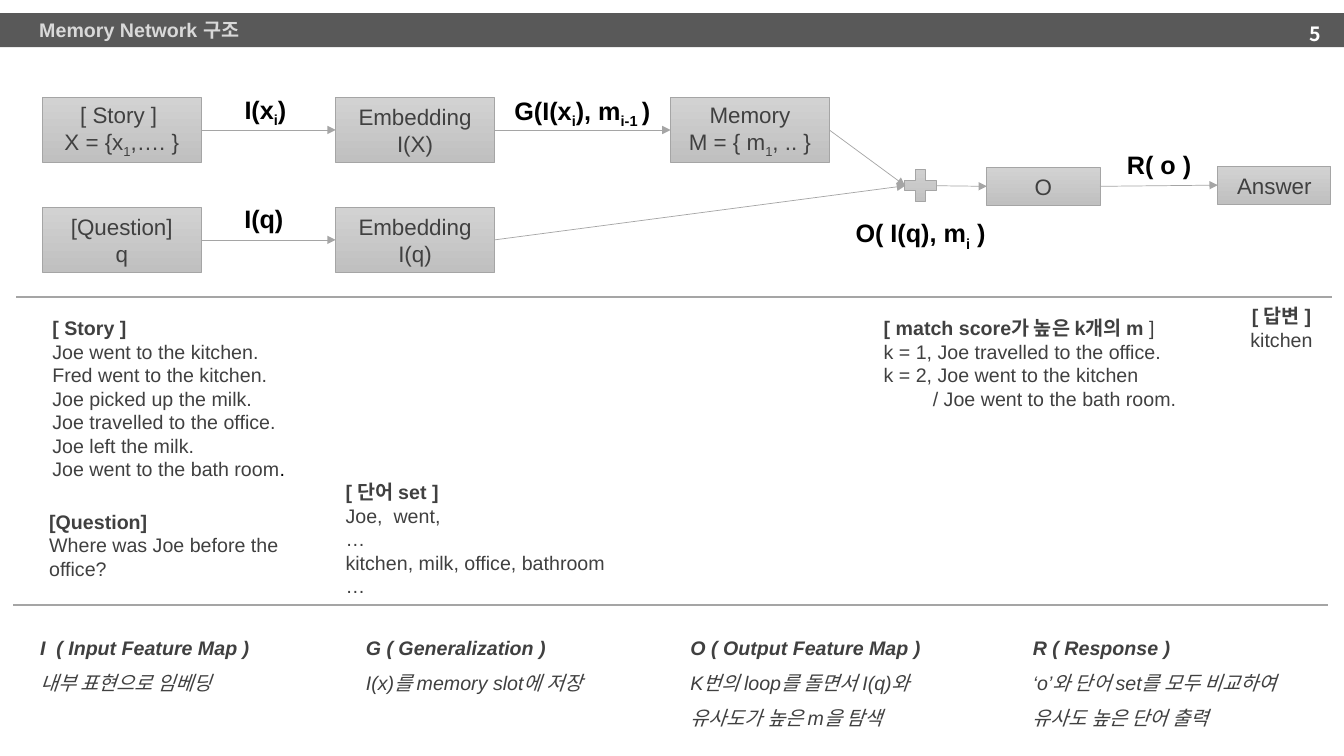
from dataclasses import dataclass

from lxml import etree
from pptx import Presentation, util as u
from pptx.dml.color import RGBColor
from pptx.enum import shapes, text
from pptx.oxml.ns import qn


@dataclass(frozen=True)
class Theme:
    font: str = "Arial"
    asian: str = "Noto Sans CJK KR"
    bar: str = "595959"
    title: str = "D9D9D9"
    page: str = "FFFFFF"
    body: str = "404040"
    black: str = "000000"
    line: str = "A5A5A5"
    light: str = "D2D2D2"
    dark: str = "C0C0C0"
    small: int = 14
    node: int = 16
    label: int = 18


class Deck:
    """Draws elements on one slide; all lengths are centimetres."""

    def __init__(self, theme):
        self.theme = theme
        self.prs = Presentation()
        self.prs.slide_width, self.prs.slide_height = u.Cm(33.87), u.Cm(19.05)
        self.slide = self.prs.slides.add_slide(self.prs.slide_layouts[6])

    def color(self, name):
        return RGBColor.from_string(getattr(self.theme, name))

    def fill(self, frame, lines, size, color, align="LEFT", lead=0, font=None):
        """A line is a list of (words, flags): b bold, i italic, s subscript, k black.

        The first `lead` lines get 1.5 line spacing.
        """
        frame.word_wrap = True
        for n, runs in enumerate(lines):
            para = frame.paragraphs[0] if n == 0 else frame.add_paragraph()
            para.alignment = getattr(text.PP_ALIGN, align)
            if n < lead:
                para.line_spacing = 1.5
            for words, flags in runs:
                run = para.add_run()
                run.text = words
                face = run.font
                face.name = font or self.theme.font
                face.size = u.Pt(getattr(self.theme, size))
                face.bold, face.italic = "b" in flags, "i" in flags
                face.color.rgb = self.color("black" if "k" in flags else color)
                props = run._r.get_or_add_rPr()
                if "s" in flags:
                    props.set("baseline", "-25000")
                asian = etree.Element(qn("a:ea"), typeface=self.theme.asian)
                props.find(qn("a:latin")).addnext(asian)

    def text(self, x, y, w, h, lines, size="small", color="body", **style):
        box = self.slide.shapes.add_textbox(*map(u.Cm, (x, y, w, h)))
        self.fill(box.text_frame, lines, size, color, **style)
        return box

    def label(self, x, y, w, runs):
        self.text(x, y, w, 1.02, [runs], "label", "black", align="CENTER")

    def shape(self, kind, x, y, w, h):
        item = self.slide.shapes.add_shape(kind, *map(u.Cm, (x, y, w, h)))
        item.shadow.inherit = False
        return item

    def bar(self, x, y, w, h):
        item = self.shape(shapes.MSO_SHAPE.RECTANGLE, x, y, w, h)
        item.fill.solid()
        item.fill.fore_color.rgb = self.color("bar")
        item.line.fill.background()

    def node(self, x, y, w, h, lines=(), kind=shapes.MSO_SHAPE.RECTANGLE):
        item = self.shape(kind, x, y, w, h)
        item.fill.gradient()
        item.fill.gradient_angle = 270
        for stop, name in zip(item.fill.gradient_stops, ("light", "dark")):
            stop.color.rgb = self.color(name)
        item.line.color.rgb = self.color("line")
        item.line.width = u.Pt(0.5)
        self.fill(item.text_frame, lines, "node", "body", align="CENTER")
        return item

    def line(self, start, end, width):
        link = self.slide.shapes.add_connector(
            shapes.MSO_CONNECTOR.STRAIGHT, *map(u.Cm, start + end))
        link.line.color.rgb = self.color("line")
        link.line.width = u.Pt(width)
        etree.SubElement(link._element.spPr, qn("a:effectLst"))
        return link

    def arrow(self, start, end):
        """Each end is a point, or a node left by its right / entered by its left side."""
        free = [p if isinstance(p, tuple) else (0, 0) for p in (start, end)]
        link = self.line(*free, 0.5)
        if not isinstance(start, tuple):
            link.begin_connect(start, 3)
        if not isinstance(end, tuple):
            link.end_connect(end, 1)
        outline = link._element.spPr.find(qn("a:ln"))
        etree.SubElement(outline, qn("a:tailEnd"), type="triangle")


def plain(*lines):
    return [[(line, "")] for line in lines]


def main():
    deck = Deck(Theme())

    # Header bar
    deck.bar(0, 0.33, 33.87, 0.86)
    deck.text(0.74, 0.33, 13.69, 0.86, [[("Memory Network 구조", "b")]], color="title")
    page = deck.text(25.93, 0.33, 7.62, 1.02, [[("5", "b")]], color="page",
                     align="RIGHT", font=deck.theme.asian)
    page.text_frame.vertical_anchor = text.MSO_ANCHOR.MIDDLE

    # Network nodes
    big, low = (4, 1.63), (2.85, 0.95)
    left, mid, right = 1.07, 8.46, 16.9
    top, base = 2.46, 5.23
    story = deck.node(left, top, *big, [
        [("[ Story ] ", "")], [("X = {x", ""), ("1", "s"), (",…. }", "")]])
    query = deck.node(left, base, *big, plain("[Question]", "q"))
    embed = deck.node(mid, top, *big, plain("Embedding", "I(X)"))
    vector = deck.node(mid, base, *big, plain("Embedding", "I(q)"))
    memory = deck.node(right, top, *big, [
        [("Memory", "")], [("M = { m", ""), ("1", "s"), (", .. }", "")]])
    output = deck.node(24.87, 4.22, *low, plain("O"))
    answer = deck.node(30.69, 4.19, *low, plain("Answer"))
    deck.node(22.66, 4.14, 1.07, 1.07, kind=shapes.MSO_SHAPE.MATH_PLUS)

    # Arrows
    enter, leave = (22.81, 4.68), (23.6, 4.68)
    for start, end in ((story, embed), (query, vector), (embed, memory),
                       (memory, enter), (vector, enter), (leave, output),
                       (output, answer)):
        deck.arrow(start, end)

    # Arrow labels
    deck.label(5.28, 2.24, 2.82, [("I(x", "b"), ("i", "bs"), (")", "b")])
    deck.label(5.28, 5, 2.74, [("I(q)", "b")])
    deck.label(12.45, 2.28, 4.45, [("G(I(x", "b"), ("i", "bs"), ("), m", "b"),
                                   ("i-1 ", "bs"), (")", "b")])
    deck.label(20.65, 5.36, 5.1, [("O( I(q), m", "b"), ("i", "bs"), (" )", "b")])
    deck.label(27.79, 3.63, 2.84, [("R( o )", "b")])

    # Worked example
    deck.text(1.07, 7.54, 6.99, 4.75, [
        [("[ Story ]", "b")],
        *plain("Joe went to the kitchen.", "Fred went to the kitchen.",
               "Joe picked up the milk.", "Joe travelled to the office.",
               "Joe left the milk."),
        [("Joe went to the bath room", ""), (".", "k")]], lead=1)
    deck.text(0.99, 12.42, 6.99, 2.36, [
        [("[Question]", "b")], *plain("Where was Joe before the office?")], lead=1)
    deck.text(8.46, 11.68, 7.82, 3.56, [
        [("[ 단어 set ]", "b")],
        *plain("Joe,  went,", "…", "kitchen, milk, office, bathroom", "…")], lead=1)
    match = deck.text(22.02, 7.54, 8.66, 2.95, [
        [("[ match score가 높은 k개의 m ", "b"), ("]", "")],
        *plain("k = 1, Joe travelled to the office.",
               "k = 2, Joe went to the kitchen",
               "/ Joe went to the bath room.")], lead=1)
    last = match.text_frame.paragraphs[-1]
    last._p.get_or_add_pPr().set("marL", str(u.Cm(1.24)))
    deck.text(31.04, 7.54, 2.51, 1.45, [
        [("[ 답변 ]", "b")], *plain("kitchen")], align="CENTER")

    # Component captions
    for x, w, head, note in (
            (0.76, 6.58, "I  ( Input Feature Map )", "내부 표현으로 임베딩"),
            (8.97, 6.58, "G ( Generalization )", "I(x)를 memory slot에 저장"),
            (17.15, 7.01, "O ( Output Feature Map )",
             "K번의 loop를 돌면서 I(q)와 유사도가 높은 m을 탐색"),
            (25.78, 7.32, "R ( Response )",
             "‘o’와 단어 set를 모두 비교하여 유사도 높은 단어 출력")):
        deck.text(x, 15.6, w, 2.84, [[(head, "bi")], [(note, "i")]], lead=2)

    # Dividers
    for x, y in ((0.41, 7.49), (0.33, 15.24)):
        deck.line((x, y), (x + 33.15, y), 1.5)

    deck.prs.save("out.pptx")


if __name__ == "__main__":
    main()
